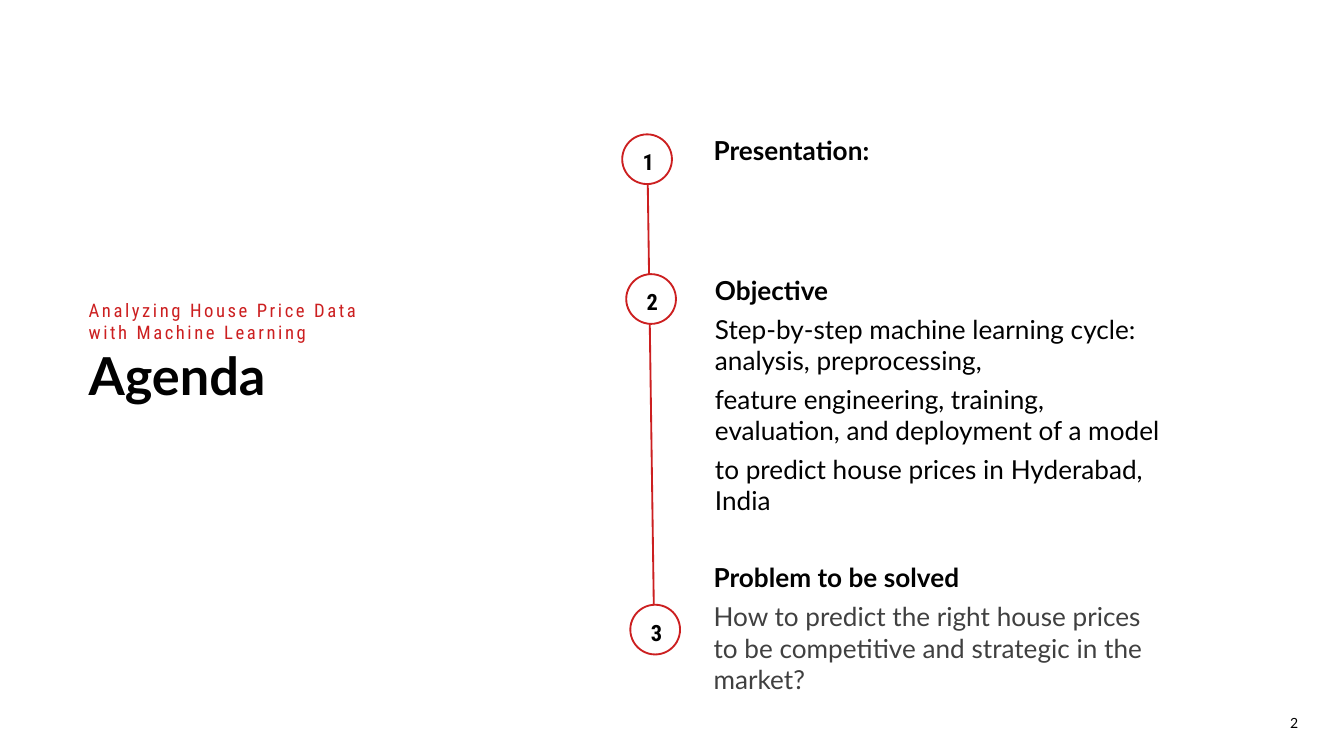
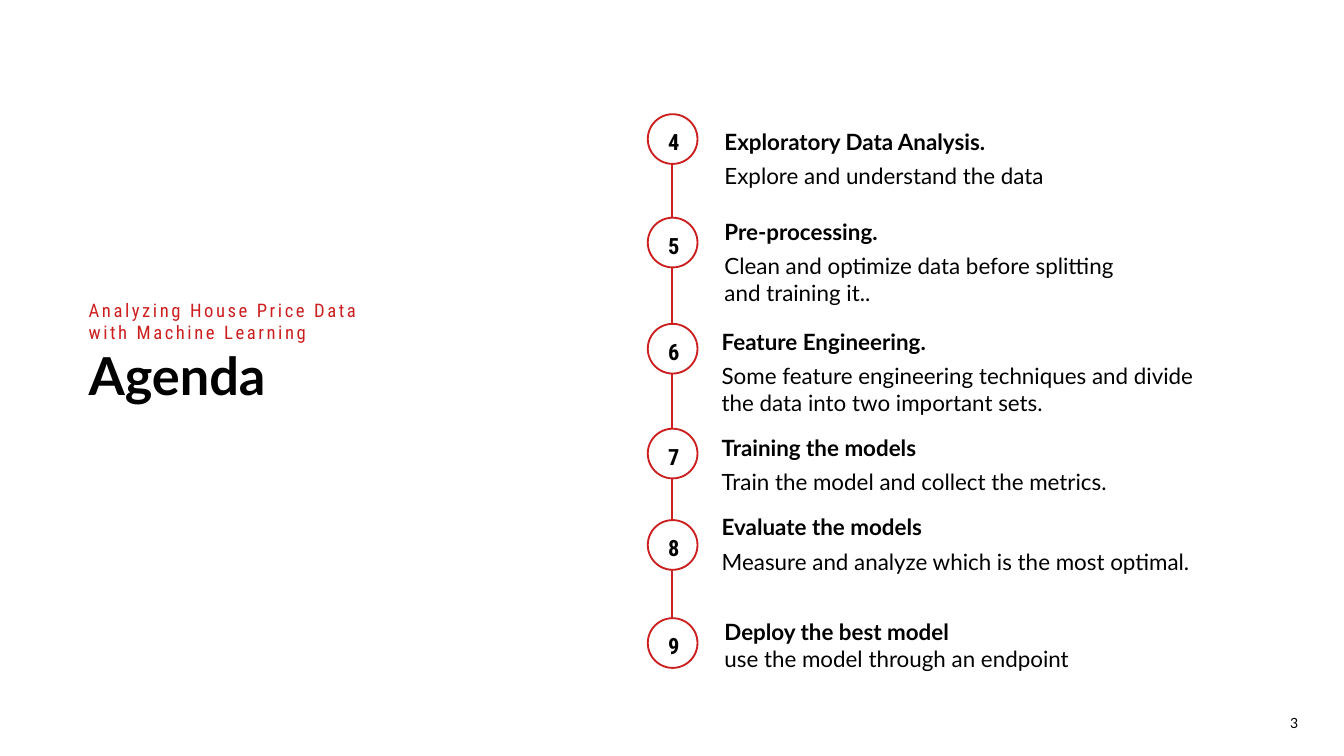
import copy
import pptx
import pptx.dml.color
import pptx.enum.shapes
import pptx.enum.text
import pptx.oxml.ns
import pptx.util
import lxml.etree

Inches = pptx.util.Inches
Pt = pptx.util.Pt
RGBColor = pptx.dml.color.RGBColor

RED = RGBColor(0xCC, 0x1F, 0x20)
INK = RGBColor(0x01, 0x01, 0x01)
GREY = RGBColor(0x40, 0x40, 0x40)
WHITE = RGBColor(0xFF, 0xFF, 0xFF)

KICKER = {"size": Pt(10), "name": "Roboto Condensed", "color": RED, "spacing": 1.4}
HEADLINE = {"size": Pt(28), "name": "Lato", "color": INK, "bold": True}
NUMBER = {"size": Pt(12), "name": "Roboto Condensed", "color": INK, "bold": True}
PAGE = {"size": Pt(7.5), "name": "Lato", "color": INK}

TITLE = [
    [("Analyzing House Price Data with Machine Learning\n", KICKER), ("Agenda", HEADLINE)]
]
BADGE = 0.37

AGENDAS = [
    {
        "page": 2,
        "size": 14,
        "line": (4.82, 1.37, 4.87, 4.86),
        "steps": [
            {"number": 1, "badge": (4.63, 1), "box": (5.31, 1, 3.54, 0.24),
             "heading": "Presentation:", "details": []},
            {"number": 2, "badge": (4.66, 2.04), "box": (5.32, 2.04, 3.4, 1.82),
             "heading": "Objective",
             "details": [
                 "Step-by-step machine learning cycle: analysis, preprocessing,",
                 "feature engineering, training, evaluation, and deployment of a model",
                 "to predict house prices in Hyderabad, India",
             ]},
            {"number": 3, "badge": (4.69, 4.5), "box": (5.31, 4.18, 3.4, 1),
             "heading": "Problem to be solved", "color": GREY,
             "details": ["How to predict the right house prices to be competitive "
                         "and strategic in the market?"]},
        ],
    },
    {
        "page": 3,
        "size": 12,
        "line": (5, 1.21, 5, 4.6),
        "steps": [
            {"number": 4, "badge": (4.82, 0.85), "box": (5.39, 0.95, 2.79, 0.46),
             "heading": "Exploratory Data Analysis.",
             "details": ["Explore and understand the data"]},
            {"number": 5, "badge": (4.82, 1.62), "box": (5.39, 1.62, 2.91, 0.66),
             "heading": "Pre-processing.",
             "details": ["Clean and optimize data before splitting and training it.."]},
            {"number": 6, "badge": (4.82, 2.41), "box": (5.37, 2.44, 3.67, 0.66),
             "heading": "Feature Engineering.",
             "details": ["Some feature engineering techniques and divide the data "
                         "into two important sets."]},
            {"number": 7, "badge": (4.82, 3.19), "box": (5.37, 3.23, 3.67, 0.46),
             "heading": "Training the models",
             "details": ["Train the model and collect the metrics."]},
            {"number": 8, "badge": (4.82, 3.87), "box": (5.37, 3.82, 3.67, 0.46),
             "heading": "Evaluate the models",
             "details": ["Measure and analyze which is the most optimal."]},
            {"number": 9, "badge": (4.82, 4.6), "box": (5.39, 4.6, 3.67, 0.4),
             "heading": "Deploy the best model\n",
             "details": ["use the model through an endpoint"]},
        ],
    },
]


def add_run(paragraph, text, style):
    run = paragraph.add_run()
    run.text = text.rstrip("\n")
    for key, value in style.items():
        if key == "color":
            run.font.color.rgb = value
        elif key == "spacing":
            run._r.get_or_add_rPr().set("spc", str(round(value * 100)))
        else:
            setattr(run.font, key, value)
    if text.endswith("\n"):
        paragraph.add_line_break()
        paragraph._p[-1].append(copy.deepcopy(run._r.rPr))


def write(frame, paragraphs, **layout):
    for index, runs in enumerate(paragraphs):
        paragraph = frame.paragraphs[0] if index == 0 else frame.add_paragraph()
        for key, value in layout.items():
            setattr(paragraph, key, value)
        for text, style in runs:
            add_run(paragraph, text, style)


def add_text(slide, box, paragraphs, left=0, bottom=0, **layout):
    frame = slide.shapes.add_textbox(*map(Inches, box)).text_frame
    settings = {
        "word_wrap": True,
        "auto_size": pptx.enum.text.MSO_AUTO_SIZE.SHAPE_TO_FIT_TEXT,
        "margin_left": Inches(left),
        "margin_top": 0,
        "margin_right": 0,
        "margin_bottom": Inches(bottom),
    }
    for key, value in settings.items():
        setattr(frame, key, value)
    write(frame, paragraphs, **layout)


def add_timeline(slide, ends):
    timeline = slide.shapes.add_connector(
        pptx.enum.shapes.MSO_CONNECTOR.STRAIGHT, *map(Inches, ends))
    timeline.line.color.rgb = RED
    timeline.line.width = Pt(1)
    lxml.etree.SubElement(timeline._element.spPr, pptx.oxml.ns.qn("a:effectLst"))


def add_badge(slide, number, left, top):
    badge = slide.shapes.add_shape(
        pptx.enum.shapes.MSO_SHAPE.OVAL, *map(Inches, (left, top, BADGE, BADGE)))
    badge.shadow.inherit = False
    badge.fill.solid()
    badge.fill.fore_color.rgb = WHITE
    badge.line.color.rgb = RED
    badge.line.width = Pt(1)
    badge.text_frame.vertical_anchor = pptx.enum.text.MSO_ANCHOR.MIDDLE
    write(badge.text_frame, [[(str(number), NUMBER)]],
          alignment=pptx.enum.text.PP_ALIGN.CENTER, line_spacing=1.2, space_after=Pt(8))


def step_paragraphs(step, size):
    heading = {"size": Pt(size), "name": "Lato", "color": INK, "bold": True}
    detail = {**heading, "color": step.get("color", INK), "bold": False}
    runs = [(step["heading"], heading)] + [(text, detail) for text in step["details"]]
    return [runs] if step["heading"].endswith("\n") else [[run] for run in runs]


def add_agenda(deck, agenda):
    slide = deck.slides.add_slide(deck.slide_layouts[6])
    add_text(slide, (9.55, 5.29, 0.28, 0.14), [[(str(agenda["page"]), PAGE)]],
             left=0.05, line_spacing=1.2, space_after=Pt(8))
    add_text(slide, (0.66, 2.22, 2.32, 1.01), TITLE, bottom=0.2)
    add_timeline(slide, agenda["line"])
    for step in agenda["steps"]:
        add_badge(slide, step["number"], *step["badge"])
        add_text(slide, step["box"], step_paragraphs(step, agenda["size"]),
                 space_after=Pt(4))


def main():
    deck = pptx.Presentation()
    deck.slide_width = Inches(10)
    deck.slide_height = deck.slide_width * 9 // 16
    for agenda in AGENDAS:
        add_agenda(deck, agenda)
    deck.save("out.pptx")


if __name__ == "__main__":
    main()
